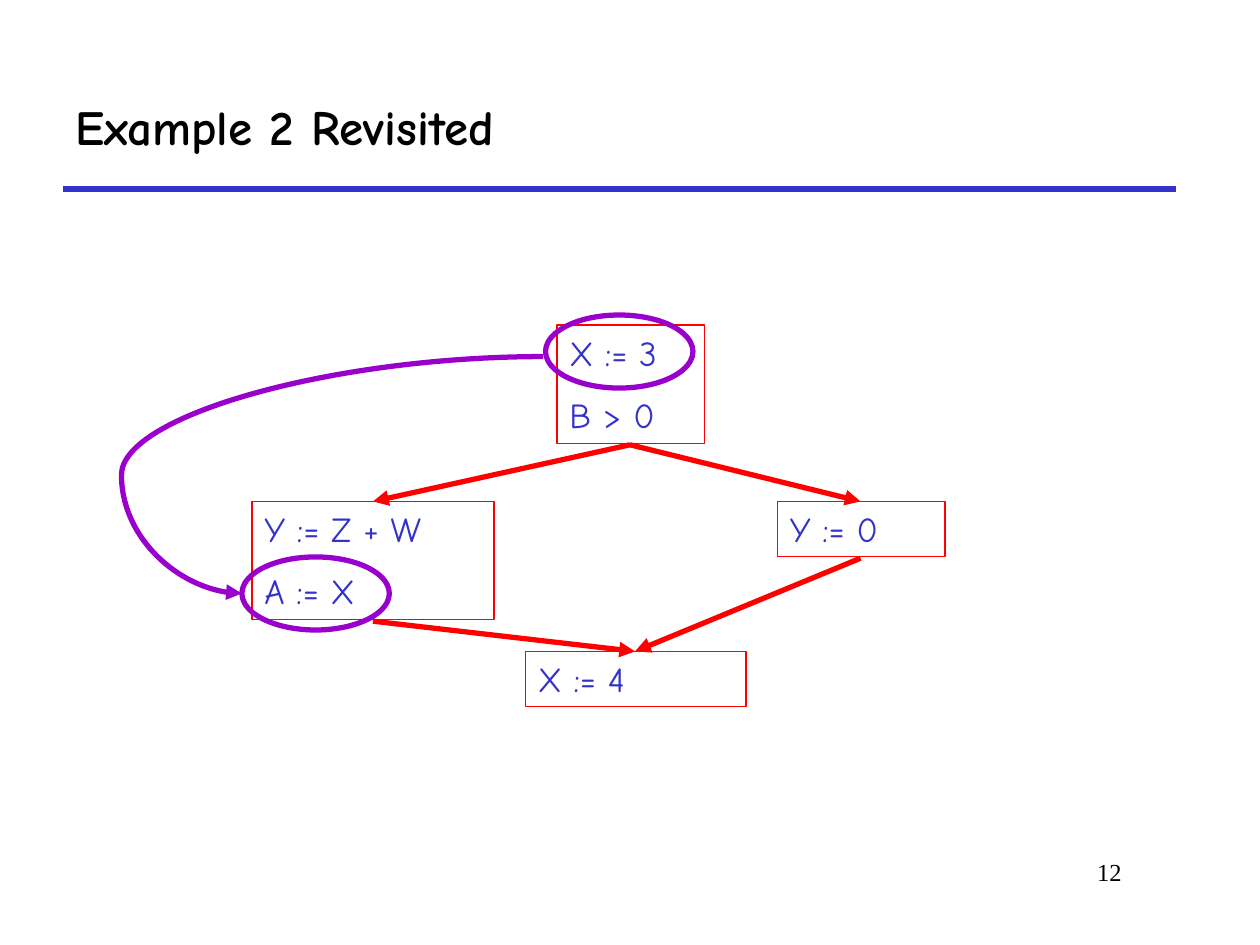
import pptx
import pptx.dml.color
import pptx.enum.shapes
import pptx.enum.text
import pptx.oxml.ns
import pptx.util
import lxml.etree

Inches = pptx.util.Inches
Pt = pptx.util.Pt
KIND = pptx.enum.shapes.MSO_SHAPE
LINK = pptx.enum.shapes.MSO_CONNECTOR
ANCHOR = pptx.enum.text.MSO_ANCHOR
ALIGN = pptx.enum.text.PP_ALIGN
BLUE, RED, PURPLE, BLACK = "3333CC", "FF0000", "9900CC", "000000"
TITLE = {"name": "Comic Neue", "size": Pt(28), "bold": True}
CODE = {"name": "Comic Neue", "size": Pt(20)}
NUMBER = {"name": "Times New Roman", "size": Pt(14)}


def paint(color, value):
    color.rgb = pptx.dml.color.RGBColor.from_string(value)


def add_tag(parent, tag, **values):
    return lxml.etree.SubElement(parent, pptx.oxml.ns.qn(tag), **values)


def stroke(line, color, width):
    paint(line.color, color)
    line.width = Pt(width)


def write(shape, lines, style, color, align=ALIGN.LEFT, anchor=ANCHOR.TOP):
    frame = shape.text_frame
    frame.word_wrap = True
    frame.vertical_anchor = anchor
    frame.text = "\n".join(lines)
    for index, para in enumerate(frame.paragraphs):
        para.alignment = align
        if index:
            para.space_before = Pt(11.5)
        for name, value in style.items():
            setattr(para.font, name, value)
        paint(para.font.color, color)


def add_text(slide, place, text, style, **layout):
    box = slide.shapes.add_textbox(*map(Inches, place))
    write(box, [text], style, BLACK, **layout)


def add_shape(slide, kind, place, color, width):
    shape = slide.shapes.add_shape(kind, *map(Inches, place))
    shape.shadow.inherit = False
    shape.fill.background()
    stroke(shape.line, color, width)
    return shape


def add_block(slide, place, lines):
    block = add_shape(slide, KIND.RECTANGLE, place, RED, 0.75)
    write(block, lines, CODE, BLUE)


def add_link(slide, start, end, color, arrow=True, kind=LINK.STRAIGHT):
    link = slide.shapes.add_connector(kind, *map(Inches, start + end))
    stroke(link.line, color, 3)
    if arrow:
        add_tag(link.line._get_or_add_ln(), "a:tailEnd", type="triangle")
    add_tag(link._element.spPr, "a:effectLst")
    return link


def add_curve(slide, start, end, bend):
    link = add_link(slide, start, end, PURPLE, kind=LINK.CURVE)
    guides = link._element.spPr.find(".//" + pptx.oxml.ns.qn("a:avLst"))
    add_tag(guides, "a:gd", name="adj1", fmla=f"val {round(bend * 100000)}")


def main():
    deck = pptx.Presentation()
    deck.slide_width, deck.slide_height = Inches(10), Inches(7.5)
    slide = deck.slides.add_slide(deck.slide_layouts[6])

    add_link(slide, (0.5, 1.5), (9.33, 1.5), BLUE, arrow=False)
    add_text(slide, (6.92, 6.75, 2.08, 0.5), "12", NUMBER, align=ALIGN.RIGHT)
    add_text(slide, (0.5, 0.5, 8.83, 1), "Example 2 Revisited", TITLE,
             anchor=ANCHOR.MIDDLE)

    for place, lines in (
        ((4.42, 2.58, 1.17, 0.94), ["X := 3", "B > 0"]),
        ((2, 3.98, 1.92, 0.94), ["Y := Z + W", "A := X"]),
        ((6.17, 3.98, 1.33, 0.44), ["Y := 0"]),
        ((4.17, 5.17, 1.75, 0.44), ["X := 4"]),
    ):
        add_block(slide, place, lines)

    fork, join = (5, 3.53), (5.04, 5.17)
    for middle, top, bottom in ((2.96, 3.98, 4.93), (6.83, 3.98, 4.43)):
        add_link(slide, fork, (middle, top), RED)
        add_link(slide, (middle, bottom), join, RED)

    for left, top in ((1.92, 4.42), (4.33, 2.5)):
        add_shape(slide, KIND.OVAL, (left, top, 1.17, 0.58), PURPLE, 3)
    add_curve(slide, (4.31, 2.83), (1.92, 4.71), 1.4)

    deck.save("out.pptx")


if __name__ == "__main__":
    main()
